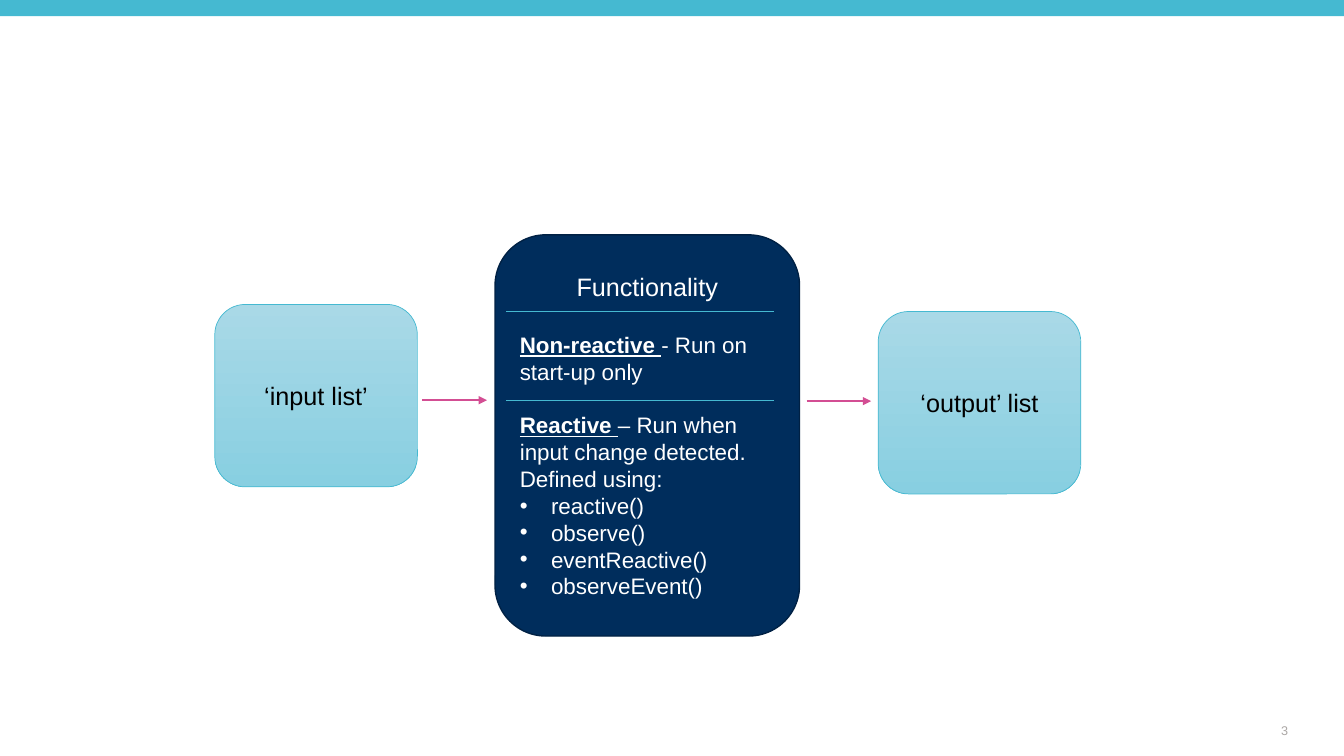
from lxml.etree import SubElement
from pptx import Presentation
from pptx.dml.color import RGBColor
from pptx.enum.shapes import MSO_CONNECTOR, MSO_SHAPE
from pptx.enum.text import MSO_ANCHOR, PP_ALIGN
from pptx.oxml.ns import qn
from pptx.util import Inches, Pt

TEAL, NAVY, NAVY_EDGE, PINK = "45B9D1", "002D5C", "002144", "D34E93"
WHITE, BLACK, GREY = "FFFFFF", "000000", "ABA7A5"
LIST_TOP, LIST_BOTTOM = "A9D9E7", "88CFE1"


def color(hex_value):
    return RGBColor.from_string(hex_value)


def add_box(slide, preset, left, top, width, height):
    box = slide.shapes.add_shape(
        preset, Inches(left), Inches(top), Inches(width), Inches(height))
    box.shadow.inherit = False
    return box


def set_outline(box, hex_value, width):
    box.line.color.rgb = color(hex_value)
    box.line.width = Pt(width)


def style_run(run, size, hex_value, strong=False):
    run.font.name = "Arial"
    run.font.size = Pt(size)
    run.font.color.rgb = color(hex_value)
    run.font.bold = run.font.underline = strong


def add_list_box(slide, left, top, label):
    box = add_box(slide, MSO_SHAPE.ROUNDED_RECTANGLE, left, top, 2.01, 1.81)
    box.fill.gradient()
    box.fill.gradient_angle = 270
    for stop, shade in zip(box.fill.gradient_stops, (LIST_TOP, LIST_BOTTOM)):
        stop.color.rgb = color(shade)
    set_outline(box, TEAL, 0.5)
    box.text_frame.text = label
    box.text_frame.vertical_anchor = MSO_ANCHOR.MIDDLE
    paragraph = box.text_frame.paragraphs[0]
    paragraph.alignment = PP_ALIGN.CENTER
    style_run(paragraph.runs[0], 18, BLACK)


def add_line(slide, left, right, y, hex_value, width, arrow=False):
    line = slide.shapes.add_connector(
        MSO_CONNECTOR.STRAIGHT, Inches(left), Inches(y), Inches(right), Inches(y))
    set_outline(line, hex_value, width)
    if arrow:
        SubElement(line.line._get_or_add_ln(), qn("a:tailEnd"), type="triangle")
    SubElement(line._element.spPr, qn("a:effectLst"))


def add_bullet(paragraph):
    properties = paragraph._p.get_or_add_pPr()
    properties.set("marL", str(Inches(0.31)))
    properties.set("indent", str(-Inches(0.31)))
    SubElement(properties, qn("a:buFont"), typeface="Arial")
    SubElement(properties, qn("a:buChar"), char="•")


def add_functionality(slide):
    panel = add_box(slide, MSO_SHAPE.ROUNDED_RECTANGLE, 4.91, 2.33, 3.02, 3.98)
    panel.fill.solid()
    panel.fill.fore_color.rgb = color(NAVY)
    set_outline(panel, NAVY_EDGE, 1)
    frame = panel.text_frame
    frame.vertical_anchor = MSO_ANCHOR.MIDDLE

    # Heading
    frame.text = "Functionality"
    heading = frame.paragraphs[0]
    heading.alignment = PP_ALIGN.CENTER
    style_run(heading.runs[0], 18, WHITE)

    # Kinds of code, each with a gap above for its divider
    kinds = [
        ("Non-reactive ", "- Run on start-up only", 21),
        ("Reactive ", "– Run when input change detected. Defined using:", 19),
    ]
    for term, meaning, gap in kinds:
        kind = frame.add_paragraph()
        kind.alignment = PP_ALIGN.LEFT
        kind.space_before = Pt(gap)
        for text, strong in ((term, True), (meaning, False)):
            run = kind.add_run()
            run.text = text
            style_run(run, 16, WHITE, strong)

    # Reactive functions
    for name in ("reactive()", "observe()", "eventReactive()", "observeEvent()"):
        function = frame.add_paragraph()
        function.text = name
        function.alignment = PP_ALIGN.LEFT
        add_bullet(function)
        style_run(function.runs[0], 16, WHITE)

    # Dividers
    for y in (3.09, 3.97):
        add_line(slide, 5.02, 7.68, y, TEAL, 0.5)


def add_slide_number(slide):
    number = slide.shapes.add_textbox(
        Inches(12.5), Inches(7.12), Inches(0.48), Inches(0.25))
    number.text_frame.word_wrap = True
    number.text_frame.text = "3"
    paragraph = number.text_frame.paragraphs[0]
    paragraph.alignment = PP_ALIGN.CENTER
    style_run(paragraph.runs[0], 9, GREY)


def main():
    deck = Presentation()
    deck.slide_width, deck.slide_height = Inches(13.33), Inches(7.5)
    slide = deck.slides.add_slide(deck.slide_layouts[6])

    # Top band and slide number
    band = add_box(slide, MSO_SHAPE.RECTANGLE, 0, 0, 13.33, 0.16)
    band.fill.solid()
    band.fill.fore_color.rgb = color(TEAL)
    band.line.fill.background()
    add_slide_number(slide)

    # Flow from input to output
    add_list_box(slide, 2.13, 3.02, "‘input list’")
    add_functionality(slide)
    add_list_box(slide, 8.71, 3.09, "‘output’ list")
    add_line(slide, 4.19, 4.83, 3.97, PINK, 1.5, arrow=True)
    add_line(slide, 8, 8.64, 3.98, PINK, 1.5, arrow=True)

    deck.save("out.pptx")


main()
